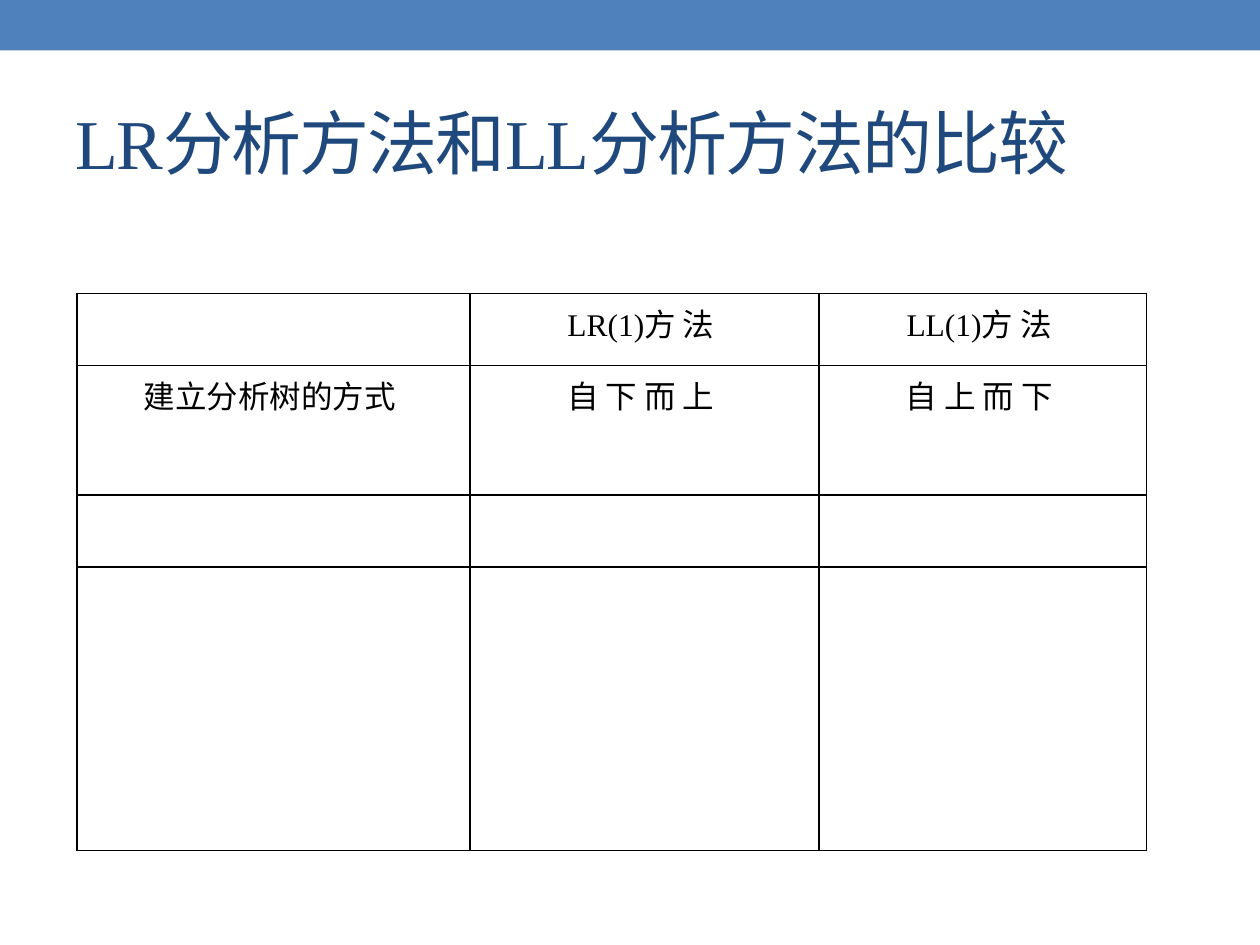
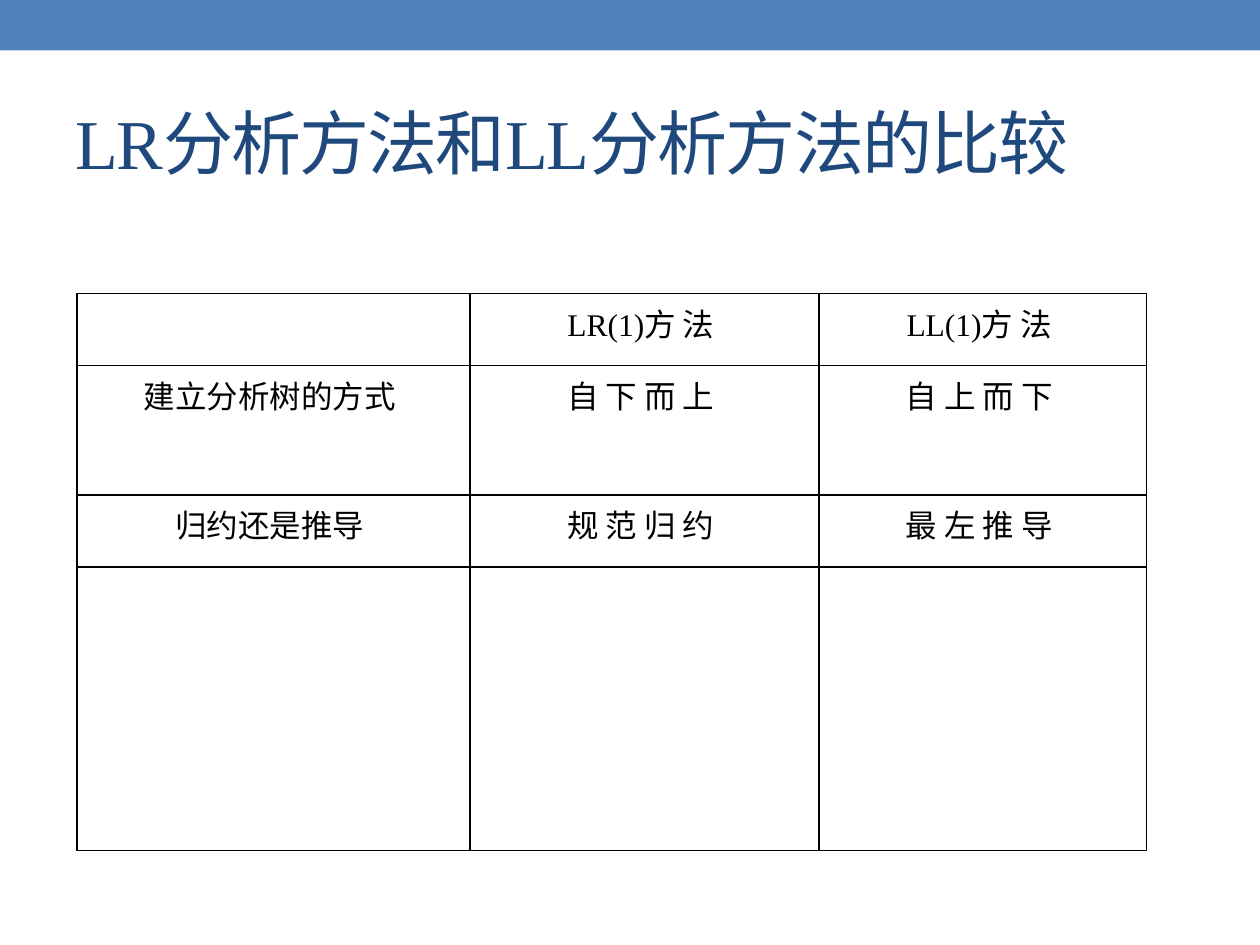
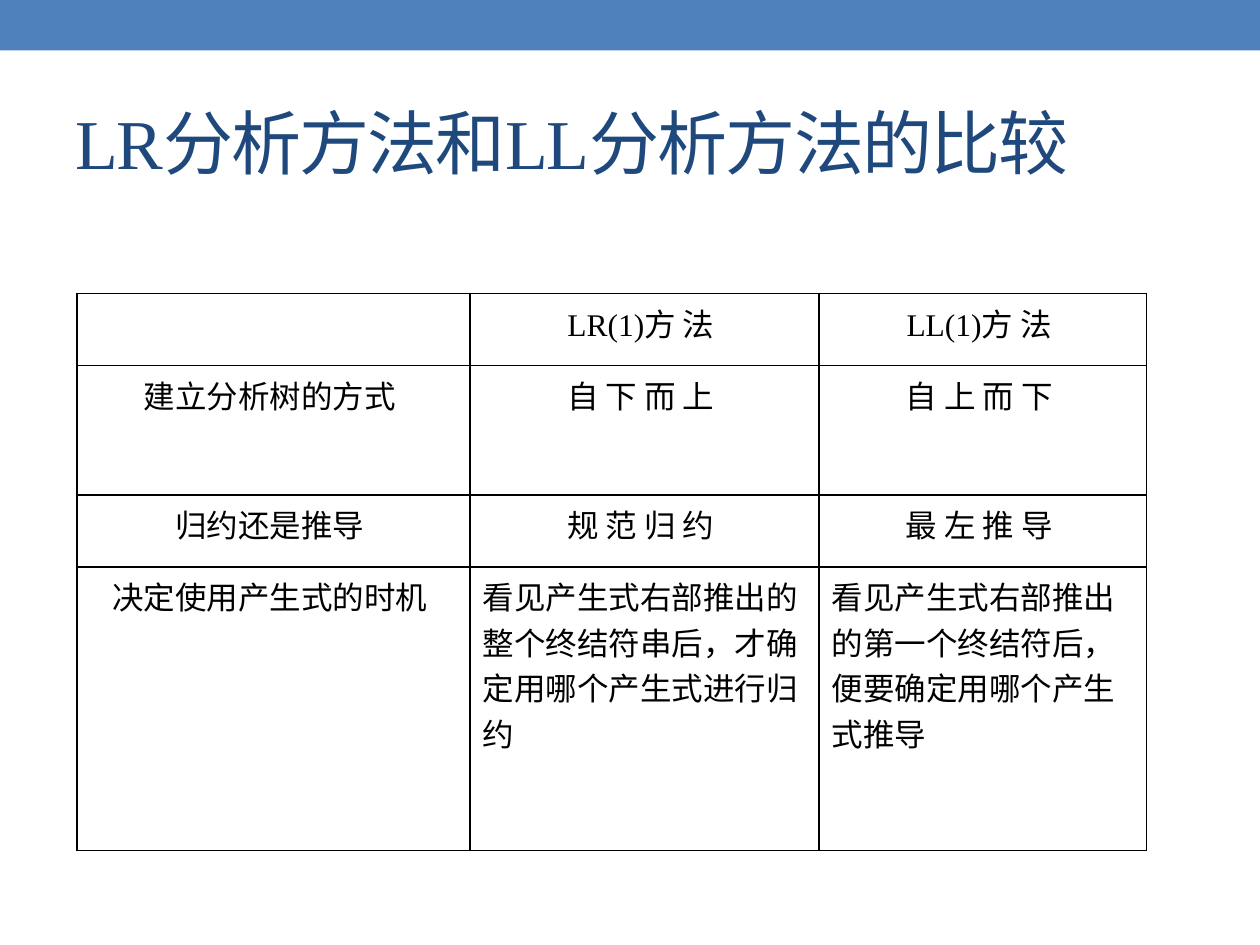
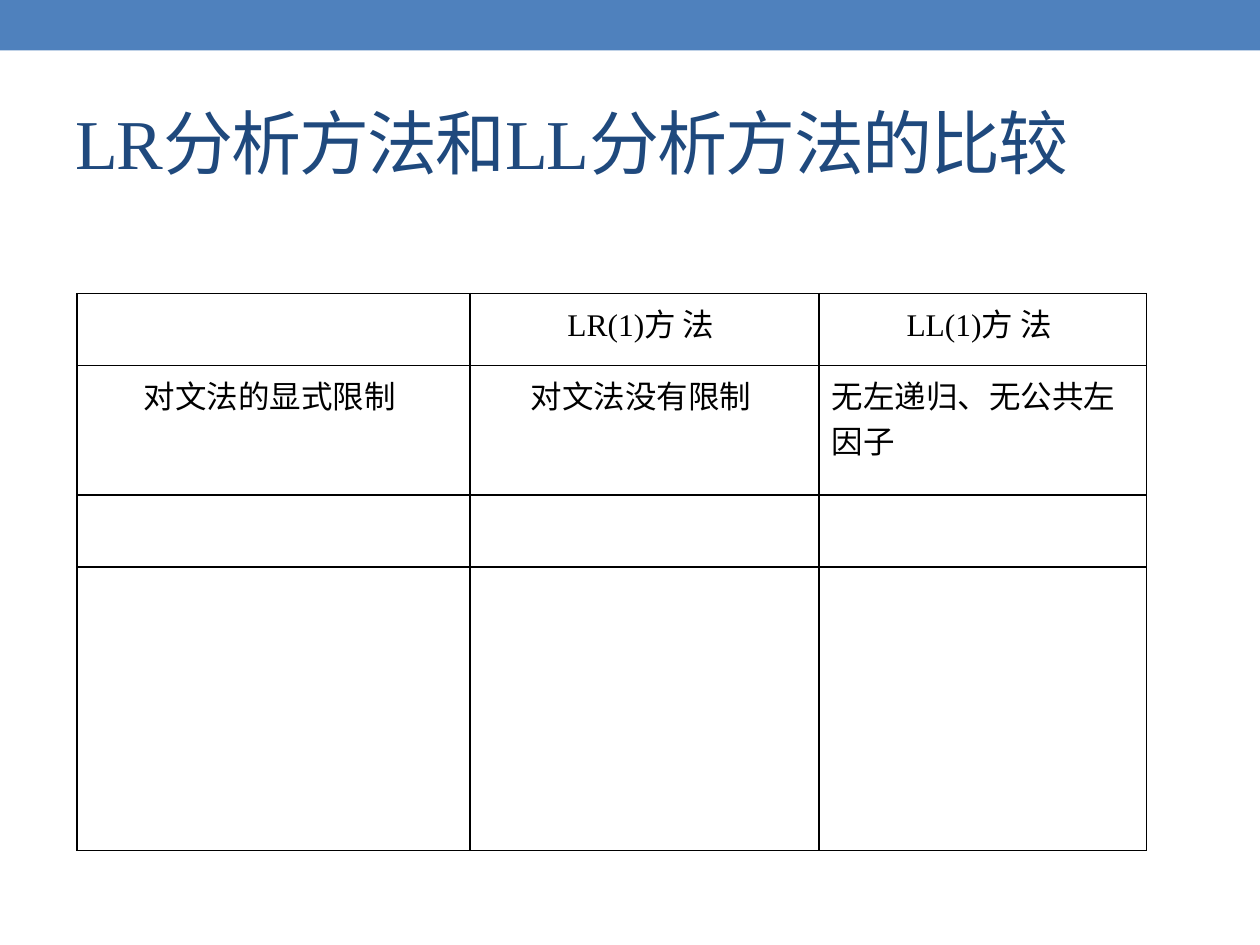
from lxml import etree
from pptx import Presentation
from pptx import util as u
from pptx.dml.color import RGBColor
from pptx.enum import shapes, text
from pptx.oxml import ns

COLORS = {"band": "4F81BD", "title": "1F497D", "text": "000000", "border": "000000"}
FONT = "Times New Roman"
TITLE = "LR分析方法和LL分析方法的比较"

# Comparison table: shared grid and content
COL_WIDTHS = [3.12, 2.77, 2.6]
ROW_HEIGHTS = [0.57, 1.03, 0.57, 2.25]
HEADER = ("", "LR(1)方 法 ", "LL(1)方 法 ")
METHOD_ROWS = [
    ("建立分析树的方式 ", "自 下 而 上 ", "自 上 而 下 "),
    ("归约还是推导 ", "规 范 归 约 ", "最 左 推 导 "),
    ("决定使用产生式的时机 ",
     "看见产生式右部推出的整个终结符串后，才确定用哪个产生式进行归约",
     "看见产生式右部推出的第一个终结符后，便要确定用哪个产生式推导"),
]
GRAMMAR_ROWS = [("对文法的显式限制 ", "对文法没有限制 ", "无左递归、无公共左因子")]
EMPTY_ROW = ("", "", "")


class Deck:
    """Holds the shared style and the current slide."""

    def __init__(self):
        self.prs = Presentation()
        self.prs.slide_width, self.prs.slide_height = u.Inches(10), u.Inches(7.5)
        self.s = None

    def new_slide(self, title):
        self.s = self.prs.slides.add_slide(self.prs.slide_layouts[5])
        self.band()
        self.title(title)

    def style(self, p, size, color, align):
        p.alignment = align
        p.font.name, p.font.size = FONT, u.Pt(size)
        p.font.color.rgb = RGBColor.from_string(COLORS[color])

    def band(self):
        sp = self.s.shapes.add_shape(shapes.MSO_SHAPE.RECTANGLE, 0, 0,
                                     self.prs.slide_width, u.Inches(0.4))
        sp.shadow.inherit = False
        sp.fill.solid()
        sp.fill.fore_color.rgb = RGBColor.from_string(COLORS["band"])
        sp.line.fill.background()

    def title(self, words):
        sp = self.s.shapes.title
        sp.left, sp.top = u.Inches(0.5), u.Inches(0.58)
        sp.width, sp.height = u.Inches(9), u.Inches(1.08)
        tf = sp.text_frame
        tf.text = words
        tf.vertical_anchor = text.MSO_ANCHOR.MIDDLE
        p = tf.paragraphs[0]
        self.style(p, 40, "title", text.PP_ALIGN.LEFT)
        p.runs[0].font._element.set("spc", "-100")

    def borders(self, cell):
        tc_pr = cell._tc.get_or_add_tcPr()
        for side in ("lnL", "lnR", "lnT", "lnB"):
            ln = etree.SubElement(tc_pr, ns.qn(f"a:{side}"), w=str(u.Pt(1)))
            fill = etree.SubElement(ln, ns.qn("a:solidFill"))
            etree.SubElement(fill, ns.qn("a:srgbClr"), val=COLORS["border"])

    def table(self, rows, left_cells):
        rows = [HEADER, *rows]
        rows += [EMPTY_ROW] * (len(ROW_HEIGHTS) - len(rows))
        table = self.s.shapes.add_table(
            len(ROW_HEIGHTS), len(COL_WIDTHS), u.Inches(0.61), u.Inches(2.33),
            u.Inches(sum(COL_WIDTHS)), u.Inches(sum(ROW_HEIGHTS))).table
        table.first_row = table.horz_banding = False
        for col, width in zip(table.columns, COL_WIDTHS):
            col.width = u.Inches(width)
        for row, height in zip(table.rows, ROW_HEIGHTS):
            row.height = u.Inches(height)
        for i, row in enumerate(rows):
            for j, words in enumerate(row):
                cell = table.cell(i, j)
                self.borders(cell)
                cell.fill.background()
                if words:
                    cell.text = words
                    align = (text.PP_ALIGN.LEFT if (i, j) in left_cells
                             else text.PP_ALIGN.CENTER)
                    self.style(cell.text_frame.paragraphs[0], 18, "text", align)


def main():
    deck = Deck()

    # Method rows appear one by one
    for shown in range(1, len(METHOD_ROWS) + 1):
        deck.new_slide(TITLE)
        deck.table(METHOD_ROWS[:shown], left_cells={(3, 1), (3, 2)})

    # Restrictions on the grammar
    deck.new_slide(TITLE)
    deck.table(GRAMMAR_ROWS, left_cells={(1, 2)})

    deck.prs.save("out.pptx")


if __name__ == "__main__":
    main()
